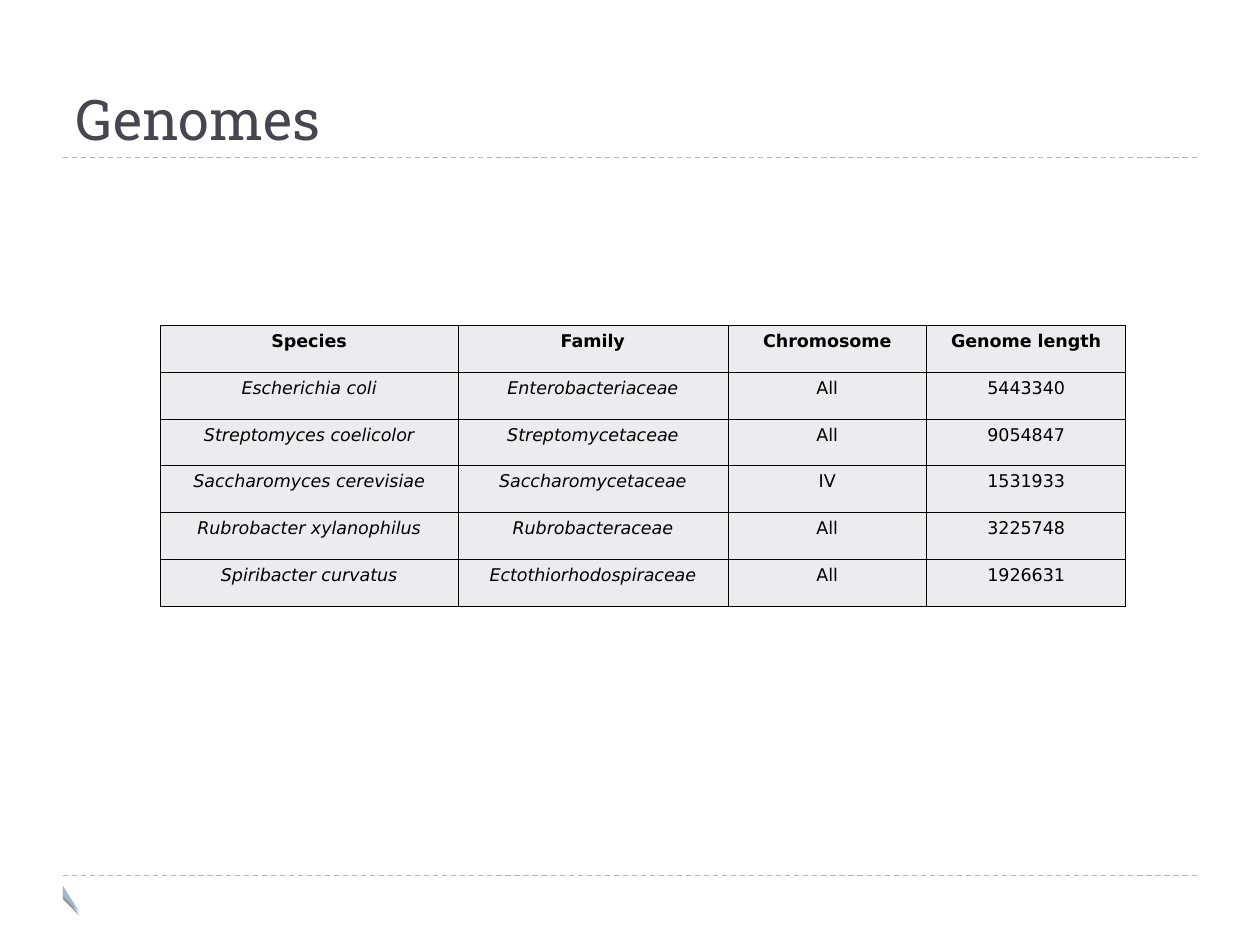
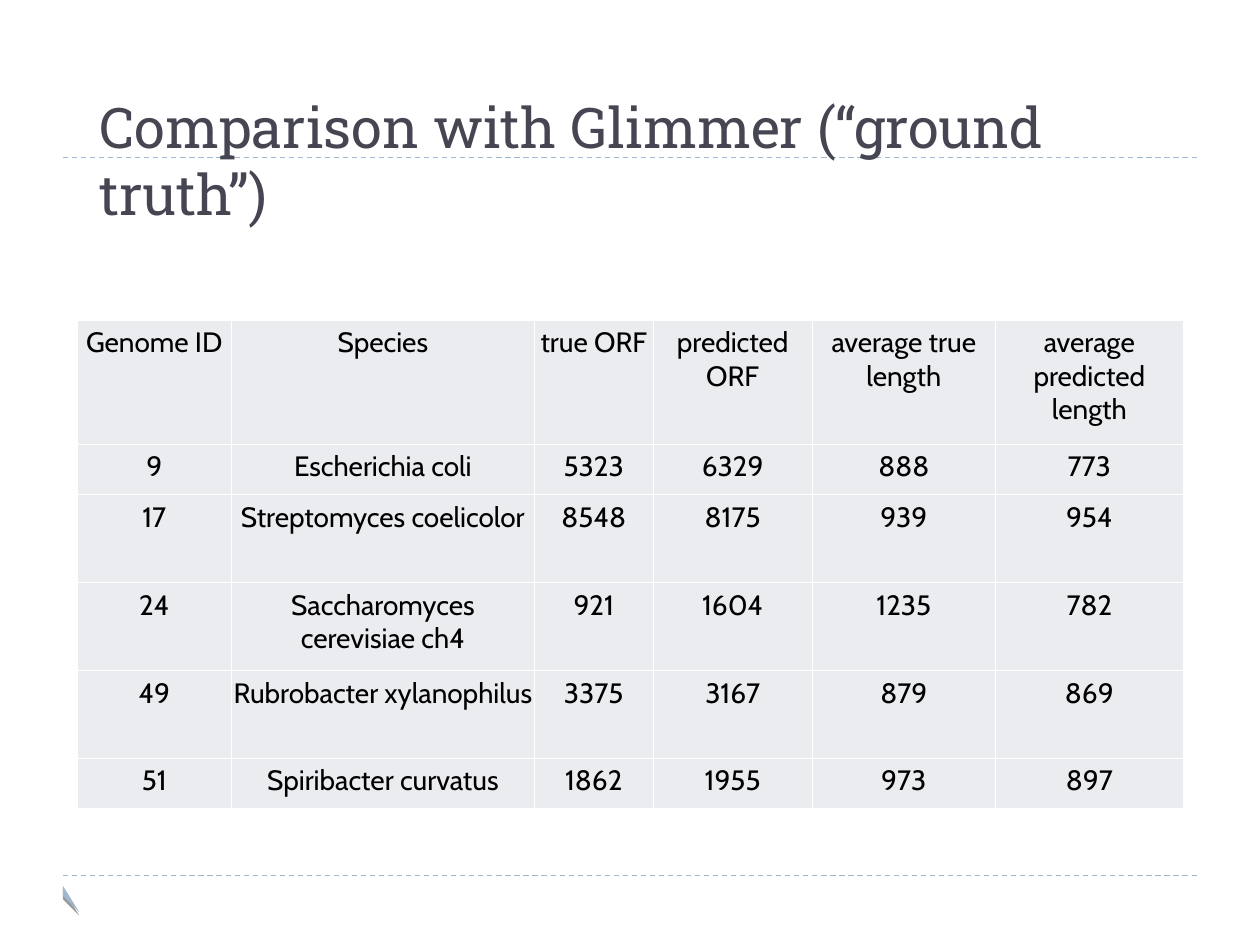
from dataclasses import dataclass

from lxml.etree import SubElement
from pptx import Presentation
from pptx.dml.color import RGBColor
from pptx.enum.dml import MSO_LINE
from pptx.enum.shapes import MSO_CONNECTOR
from pptx.enum.text import MSO_ANCHOR, MSO_AUTO_SIZE, PP_ALIGN
from pptx.oxml.ns import qn
from pptx.util import Cm, Pt


@dataclass(frozen=True)
class Theme:
    accent: str = "9FB8CD"
    title: str = "464653"
    text: str = "000000"
    cell: str = "EBECF0"
    title_font: str = "Roboto Slab"
    title_size: float = 32
    rule_width: float = 0.75


@dataclass(frozen=True)
class TableStyle:
    font: str
    size: float
    border: str
    border_width: float
    bold_header: bool = False
    italic_columns: int = 0


THEME = Theme()
GENOME_STYLE = TableStyle("DejaVu Sans", 10, "000000", 0.23, True, 2)
COMPARISON_STYLE = TableStyle("Cabin", 16, "FFFFFF", 0.45)

GENOMES = [
    ("Species", "Family", "Chromosome", "Genome length"),
    ("Escherichia coli", "Enterobacteriaceae", "All", "5443340"),
    ("Streptomyces coelicolor", "Streptomycetaceae", "All", "9054847"),
    ("Saccharomyces cerevisiae", "Saccharomycetaceae", "IV", "1531933"),
    ("Rubrobacter xylanophilus", "Rubrobacteraceae", "All", "3225748"),
    ("Spiribacter curvatus", "Ectothiorhodospiraceae", "All", "1926631"),
]
COMPARISON = [
    ("Genome ID", "Species", "true ORF", "predicted ORF",
     "average true length", "average predicted length"),
    ("9", "Escherichia coli", "5323", "6329", "888", "773"),
    ("17", "Streptomyces coelicolor", "8548", "8175", "939", "954"),
    ("24", "Saccharomyces cerevisiae ch4", "921", "1604", "1235", "782"),
    ("49", "Rubrobacter xylanophilus", "3375", "3167", "879", "869"),
    ("51", "Spiribacter curvatus", "1862", "1955", "973", "897"),
]


def rgb(color):
    return RGBColor.from_string(color)


def set_font(font, name, size, color):
    font.name = name
    font.size = Pt(size)
    font.color.rgb = rgb(color)


def add_rule(slide, y):
    line = slide.shapes.add_connector(
        MSO_CONNECTOR.STRAIGHT, Cm(1.27), Cm(y), Cm(24.13), Cm(y))
    line.line.color.rgb = rgb(THEME.accent)
    line.line.width = Pt(THEME.rule_width)
    line.line.dash_style = MSO_LINE.DASH
    SubElement(line.element.spPr, qn("a:effectLst"))
    return line


def add_corner_mark(slide):
    builder = slide.shapes.build_freeform(Cm(1.27), Cm(17.86))
    builder.add_line_segments([(Cm(1.6), Cm(18.39)), (Cm(1.27), Cm(18.06))])
    sp = builder.convert_to_shape()
    sp.fill.solid()
    sp.fill.fore_color.rgb = rgb(THEME.accent)
    sp.line.fill.background()
    sp.shadow.inherit = False
    effects = sp.element.spPr.find(qn("a:effectLst"))
    shadow = SubElement(effects, qn("a:outerShdw"), blurRad="0",
                        dist=str(Pt(2)), dir="5400000", rotWithShape="0")
    color = SubElement(shadow, qn("a:srgbClr"), val=THEME.text)
    SubElement(color, qn("a:alpha"), val="40000")
    return sp


def decorate_layout(layout, slide):
    """Draw the shared rules and mark on a slide and move them to its layout."""
    for placeholder in list(layout.placeholders)[1:]:
        layout.shapes.element.remove(placeholder.element)
    for shape in (add_rule(slide, 17.65), add_rule(slide, 3.18),
                  add_corner_mark(slide)):
        layout.shapes.element.append(shape.element)


def set_title(slide, text, left, top, width, height):
    title = slide.shapes.title
    title.left, title.top = Cm(left), Cm(top)
    title.width, title.height = Cm(width), Cm(height)
    tf = title.text_frame
    tf.text = text
    tf.word_wrap = True
    tf.auto_size = MSO_AUTO_SIZE.NONE
    tf.vertical_anchor = MSO_ANCHOR.BOTTOM
    p = tf.paragraphs[0]
    p.alignment = PP_ALIGN.LEFT
    set_font(p.runs[0].font, THEME.title_font, THEME.title_size, THEME.title)


def set_borders(cell, color, width):
    properties = cell._tc.get_or_add_tcPr()
    for side in ("L", "R", "T", "B"):
        line = SubElement(properties, qn(f"a:ln{side}"), w=str(Pt(width)))
        fill = SubElement(line, qn("a:solidFill"))
        SubElement(fill, qn("a:srgbClr"), val=color)


def format_cell(cell, text, style):
    set_borders(cell, style.border, style.border_width)
    cell.fill.solid()
    cell.fill.fore_color.rgb = rgb(THEME.cell)
    cell.margin_left = cell.margin_right = Cm(0.03)
    cell.margin_top = cell.margin_bottom = Cm(0.13)
    cell.text = text
    p = cell.text_frame.paragraphs[0]
    p.alignment = PP_ALIGN.CENTER
    p.line_spacing = 0.98
    font = p.runs[0].font
    set_font(font, style.font, style.size, THEME.text)
    return font


def add_data_table(slide, data, left, top, widths, heights, style):
    table = slide.shapes.add_table(
        len(data), len(widths), Cm(left), Cm(top),
        Cm(sum(widths)), Cm(sum(heights))).table
    table.first_row = table.horz_banding = False
    for column, width in zip(table.columns, widths):
        column.width = Cm(width)
    for row, height in zip(table.rows, heights):
        row.height = Cm(height)
    for i, values in enumerate(data):
        for j, value in enumerate(values):
            font = format_cell(table.cell(i, j), value, style)
            font.bold = style.bold_header and i == 0
            font.italic = i > 0 and j < style.italic_columns


def main():
    prs = Presentation()
    prs.slide_width, prs.slide_height = Cm(25.4), Cm(19.05)
    layout = prs.slide_layouts.get_by_name("Title Only")

    genomes = prs.slides.add_slide(layout)
    decorate_layout(layout, genomes)
    set_title(genomes, "Genomes", 1.27, 0.43, 22.86, 2.75)
    add_data_table(genomes, GENOMES, 3.23, 6.55, [6, 5.44, 4.01, 4.01],
                   [0.945] * len(GENOMES), GENOME_STYLE)

    comparison = prs.slides.add_slide(layout)
    set_title(comparison, "Comparison with Glimmer (“ground truth”)",
              1.75, 1.02, 21.92, 3.68)
    add_data_table(comparison, COMPARISON, 1.55, 6.45,
                   [3.12, 6.1, 2.4, 3.2, 3.7, 3.78],
                   [2.5, 1.02, 1.77, 1.77, 1.77, 1.02], COMPARISON_STYLE)

    prs.save("out.pptx")


if __name__ == "__main__":
    main()
